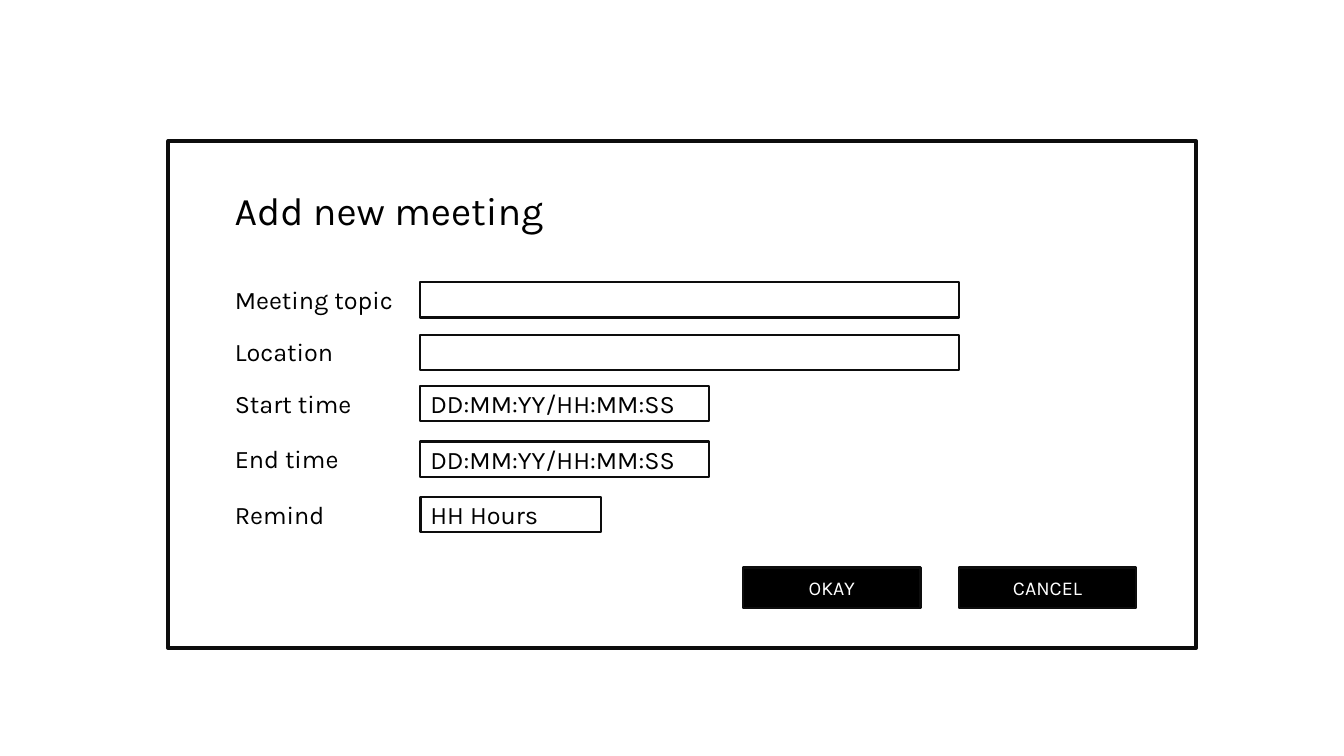
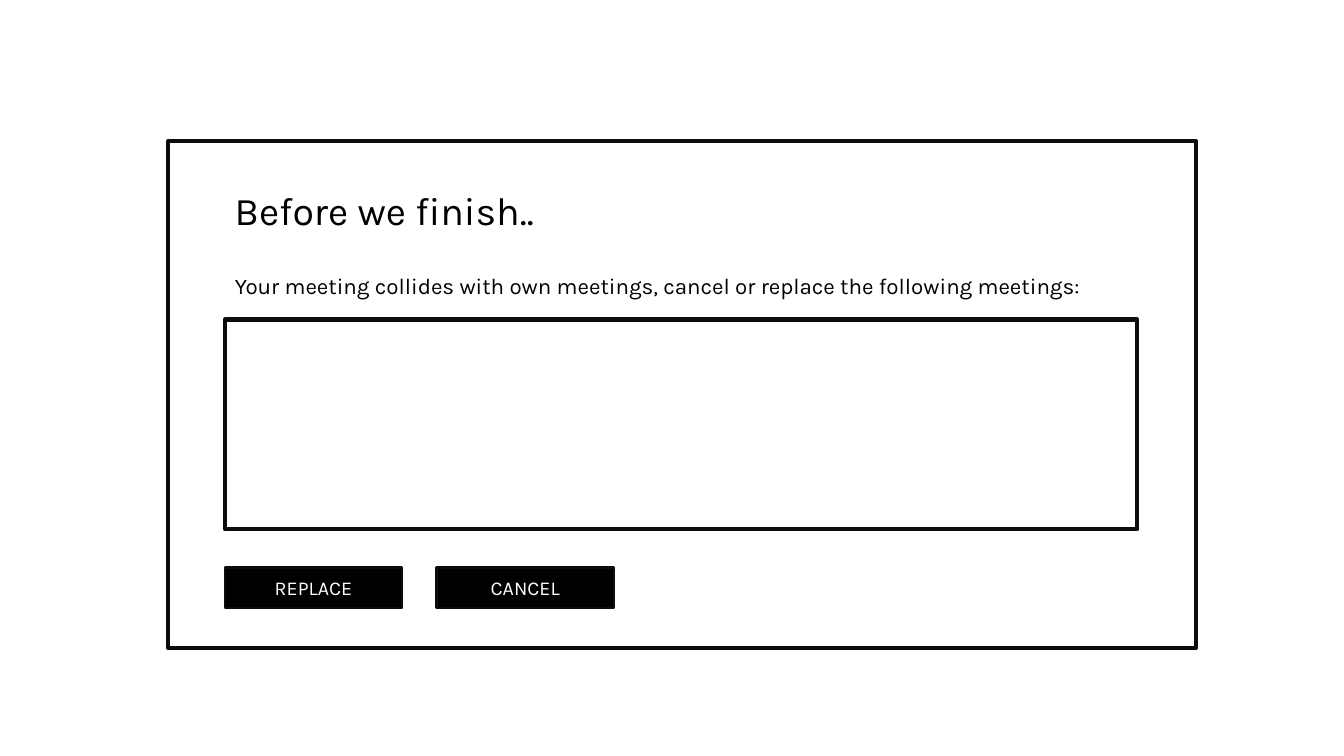
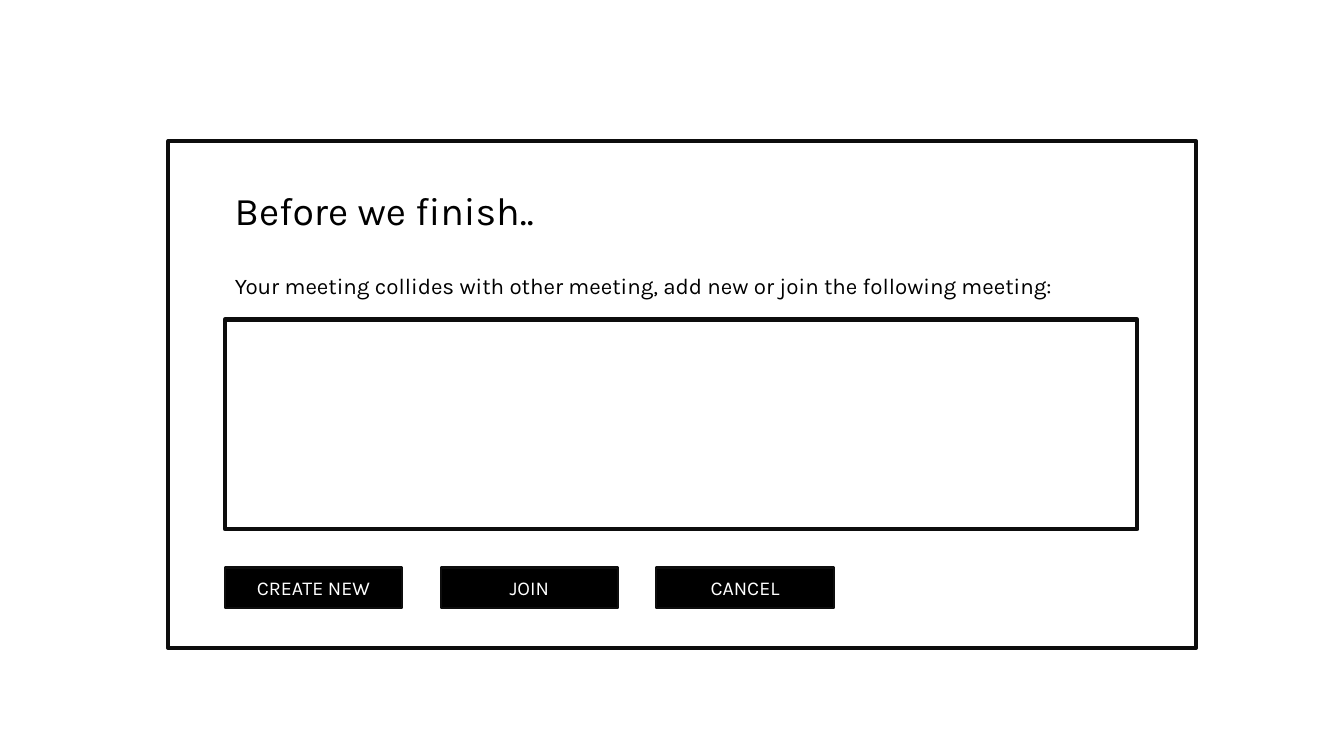
from pptx import Presentation
from pptx.dml.color import RGBColor
from pptx.enum.shapes import MSO_SHAPE
from pptx.enum.text import MSO_ANCHOR, MSO_AUTO_SIZE, PP_ALIGN
from pptx.util import Inches, Pt

RECTANGLE = MSO_SHAPE.RECTANGLE
MIDDLE = MSO_ANCHOR.MIDDLE
GROW = MSO_AUTO_SIZE.SHAPE_TO_FIT_TEXT
LEFT, CENTER = PP_ALIGN.LEFT, PP_ALIGN.CENTER

# Shared look
BLACK = RGBColor(0x00, 0x00, 0x00)
INK = RGBColor(0x0D, 0x0D, 0x0D)
WHITE = RGBColor(0xFF, 0xFF, 0xFF)
FONT = "Karla"
THICK, THIN = 3, 1.5

# Shared layout, in inches
MARGIN_LEFT = 2.23
FIELD_LEFT = 4.17
BUTTON_PITCH = 2.14

# Label, top, width and content of each form field
FORM_FIELDS = [
    ("Meeting topic", 2.8, 5.34, ""),
    ("Location", 3.32, 5.34, ""),
    ("Start time", 3.83, 2.86, "DD:MM:YY/HH:MM:SS"),
    ("End time", 4.38, 2.86, "DD:MM:YY/HH:MM:SS"),
    ("Remind", 4.93, 1.79, "HH Hours"),
]


def write(shape, text, size, color=BLACK, align=LEFT):
    para = shape.text_frame.paragraphs[0]
    para.text = text
    para.alignment = align
    for span in para.runs:
        span.font.name = FONT
        span.font.size = Pt(size)
        span.font.color.rgb = color


def add_box(page, left, top, width, height, line_width, fill=None):
    box = page.shapes.add_shape(
        RECTANGLE, Inches(left), Inches(top), Inches(width), Inches(height))
    box.shadow.inherit = False
    if fill is None:
        box.fill.background()
    else:
        box.fill.solid()
        box.fill.fore_color.rgb = fill
    box.line.color.rgb = INK
    box.line.width = Pt(line_width)
    box.text_frame.vertical_anchor = MIDDLE
    return box


def add_text(page, text, top, width, height, size):
    box = page.shapes.add_textbox(
        Inches(MARGIN_LEFT), Inches(top), Inches(width), Inches(height))
    box.text_frame.word_wrap = True
    box.text_frame.auto_size = GROW
    write(box, text, size)


def add_field(page, label, top, width, content):
    field = add_box(page, FIELD_LEFT, top, width, 0.35, THIN)
    if content:
        write(field, content, 18)
    add_text(page, label, top - 0.03, 1.95, 0.4, 18)


def add_buttons(page, captions, left, pitch=BUTTON_PITCH):
    for index, caption in enumerate(captions):
        button = add_box(page, left + index * pitch, 5.63, 1.76, 0.4, THIN, BLACK)
        write(button, caption, 14, WHITE, CENTER)


def add_dialog(deck, title):
    """Blank page with the dialog frame and its title."""
    page = deck.slides.add_slide(deck.slide_layouts[6])
    page.background.fill.solid()
    page.background.fill.fore_color.rgb = WHITE
    add_box(page, 1.67, 1.4, 10.19, 5.03, THICK)
    add_text(page, title, 1.8, 3.57, 0.57, 28)
    return page


def add_collision_dialog(deck, message, captions, pitch=BUTTON_PITCH):
    page = add_dialog(deck, "Before we finish..")
    add_text(page, message, 2.65, 8.82, 0.37, 16)
    add_box(page, MARGIN_LEFT, 3.17, 9.05, 2.08, THICK)
    add_buttons(page, captions, MARGIN_LEFT, pitch)


def main():
    deck = Presentation()
    deck.slide_width = Inches(13.33)
    deck.slide_height = Inches(7.5)

    # Meeting form
    form = add_dialog(deck, "Add new meeting")
    for field in FORM_FIELDS:
        add_field(form, *field)
    add_buttons(form, ["OKAY", "CANCEL"], 7.37)

    # Collision with own meetings
    add_collision_dialog(
        deck,
        "Your meeting collides with own meetings, "
        "cancel or replace the following meetings:",
        ["REPLACE", "CANCEL"], pitch=2.1)

    # Collision with another meeting
    add_collision_dialog(
        deck,
        "Your meeting collides with other meeting, "
        "add new or join the following meeting:",
        ["CREATE NEW", "JOIN", "CANCEL"])

    deck.save("out.pptx")


main()
